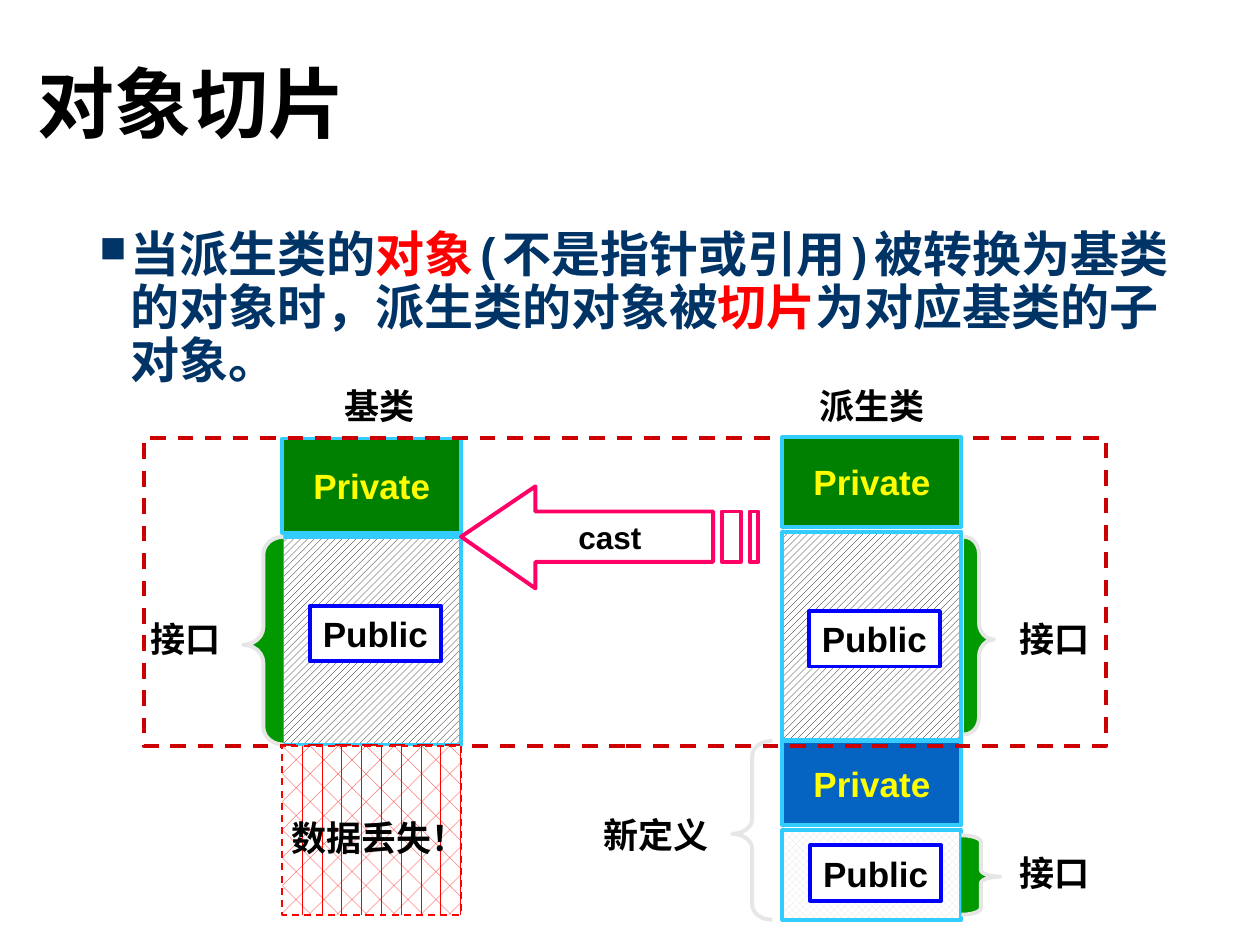
from dataclasses import dataclass

from lxml import etree
from pptx import Presentation
from pptx.dml.color import RGBColor
from pptx.enum.dml import MSO_LINE, MSO_PATTERN
from pptx.enum.shapes import MSO_SHAPE
from pptx.enum.text import MSO_ANCHOR, PP_ALIGN
from pptx.oxml.ns import qn
from pptx.slide import Slide
from pptx.util import Inches, Pt

RECT, BRACE = MSO_SHAPE.RECTANGLE, MSO_SHAPE.RIGHT_BRACE
HATCH, DIAMOND = MSO_PATTERN.WIDE_UPWARD_DIAGONAL, MSO_PATTERN.SOLID_DIAMOND
DIVOT, DASH = MSO_PATTERN.DIVOT, MSO_LINE.DASH
TOP, MIDDLE = MSO_ANCHOR.TOP, MSO_ANCHOR.MIDDLE
LEFT, CENTER = PP_ALIGN.LEFT, PP_ALIGN.CENTER

BLACK = RGBColor(0x00, 0x00, 0x00)
WHITE = RGBColor(0xFF, 0xFF, 0xFF)
NAVY = RGBColor(0x00, 0x33, 0x66)
RED = RGBColor(0xFF, 0x00, 0x00)
CRIMSON = RGBColor(0xCC, 0x00, 0x00)
PINK = RGBColor(0xFF, 0x00, 0x66)
YELLOW = RGBColor(0xFF, 0xFF, 0x00)
GREEN = RGBColor(0x00, 0x80, 0x00)
LEAF = RGBColor(0x00, 0x99, 0x00)
BLUE = RGBColor(0x00, 0x00, 0xFF)
OCEAN = RGBColor(0x05, 0x63, 0xC1)
SKY = RGBColor(0x33, 0xCC, 0xFF)
GRAY = RGBColor(0xE7, 0xE6, 0xE6)

CJK, MONO, SANS = "Noto Sans CJK SC", "Noto Sans Mono", "Arial"
COLS, ROWS = 100, 75
BASE, HEIR, WIDE = 22.4, 62.1, 14.2


def write(shape, runs, size=20, font=SANS, color=BLACK, align=CENTER,
          anchor=TOP, wrap=False, lines=None, before=None, bullet=None):
    """Fill a shape with one paragraph of (text, colour) runs."""
    frame = shape.text_frame
    frame.word_wrap, frame.vertical_anchor = wrap, anchor
    para = frame.paragraphs[0]
    para.alignment, para.line_spacing = align, lines
    if before is not None:
        para.space_before = Pt(before)
    for text, tint in [(runs, color)] if isinstance(runs, str) else runs:
        run = para.add_run()
        run.text = text
        run.font.size, run.font.bold, run.font.name = Pt(size), True, font
        run.font.color.rgb = tint
        east = etree.SubElement(run.font._element, qn("a:ea"))
        east.set("typeface", CJK)
    if bullet:
        props = para._p.get_or_add_pPr()
        props.set("marL", str(Inches(0.25)))
        props.set("indent", str(-Inches(0.25)))
        etree.SubElement(props, qn("a:buSzPct")).set("val", "75000")
        etree.SubElement(props, qn("a:buChar")).set("char", bullet)


@dataclass
class Board:
    """Draws on one slide with lengths in grid columns and rows."""
    slide: Slide
    col: int
    row: int
    weight: float = 2.25

    def place(self, x, y, w, h):
        """Turn grid units into slide lengths."""
        return [round(n * unit) for n, unit in
                zip((x, y, w, h), (self.col, self.row) * 2)]

    def style(self, shape, fill, line, weight=None, dash=None):
        """Set the fill and outline of a shape."""
        shape.shadow.inherit = False
        if fill is None:
            shape.fill.background()
        elif isinstance(fill, RGBColor):
            shape.fill.solid()
            shape.fill.fore_color.rgb = fill
        else:
            shape.fill.patterned()
            shape.fill.pattern, shape.fill.fore_color.rgb = fill
            shape.fill.back_color.rgb = WHITE
        shape.line.color.rgb = line
        shape.line.width = Pt(weight or self.weight)
        if dash:
            shape.line.dash_style = dash
        return shape

    def text(self, x, y, w, h, runs, **form):
        """Add a text box."""
        write(self.slide.shapes.add_textbox(*self.place(x, y, w, h)),
              runs, **form)

    def box(self, x, y, w, h, fill, line, text=None, color=BLACK, **look):
        """Add a rectangle with an optional caption."""
        shape = self.slide.shapes.add_shape(RECT, *self.place(x, y, w, h))
        self.style(shape, fill, line, **look)
        if text:
            write(shape, text, color=color, anchor=MIDDLE)

    def brace(self, x, y, w, h, curve, fill=LEAF, flip=False):
        """Add a curly brace."""
        shape = self.slide.shapes.add_shape(BRACE, *self.place(x, y, w, h))
        self.style(shape, fill, GRAY)
        shape.adjustments[0], shape.adjustments[1] = curve, 0.52
        if flip:
            shape._element.spPr.xfrm.set("flipH", "1")

    def arrow(self, parts, text):
        """Add an outline of several closed parts with a caption."""
        parts = [[(x * self.col, y * self.row) for x, y in part]
                 for part in parts]
        pen = self.slide.shapes.build_freeform(*parts[0][0])
        for i, part in enumerate(parts):
            if i:
                pen.move_to(*part[0])
            pen.add_line_segments(part[1:], close=True)
        shape = self.style(pen.convert_to_shape(), None, PINK)
        write(shape, text, size=18, anchor=MIDDLE)


def main():
    """Build the slide."""
    deck = Presentation()
    deck.slide_width, deck.slide_height = Inches(10), Inches(7.5)
    slide = deck.slides.add_slide(deck.slide_layouts[6])
    board = Board(slide, deck.slide_width // COLS, deck.slide_height // ROWS)

    board.text(2, 1.3, 88.2, 14.5, "对象切片", size=44, font=CJK, align=LEFT,
               anchor=MIDDLE, wrap=True, lines=0.9)
    board.text(6.9, 17.8, 89.6, 51.9, [
        ("当派生类的", NAVY), ("对象", RED),
        ("(不是指针或引用)被转换为基类的对象时，派生类的对象被", NAVY),
        ("切片", RED), ("为对应基类的子对象。", NAVY)],
        size=28, font=MONO, align=LEFT, wrap=True, lines=0.9, before=10,
        bullet="■")

    for x, y, h, fill in ((BASE, 42.6, 16.5, (HATCH, BLACK)),
                          (HEIR, 42.2, 16.5, (HATCH, BLACK)),
                          (HEIR, 65.9, 7.1, (DIAMOND, GRAY))):
        board.box(x, y, WIDE, h, fill, SKY)
    board.box(BASE, 34.8, WIDE, 7.5, GREEN, SKY, "Private", YELLOW)

    head = [(42.5, 46.7), (42.5, 44.6), (56.6, 44.6), (56.6, 40.6),
            (42.5, 40.6), (42.5, 38.6), (36.6, 42.6)]
    bars = [[(r, 44.6), (r, 40.6), (l, 40.6), (l, 44.6)]
            for l, r in ((57.3, 58.8), (59.5, 60.2))]
    board.arrow([head, *bars], "cast")

    board.brace(58.1, 58.8, 3.2, 14.2, 0.37, fill=None, flip=True)
    board.brace(19.3, 42.6, 3.2, 16.5, 0.44, flip=True)
    board.brace(76.5, 42.6, 2.4, 15.7, 0.56)
    board.brace(76.3, 66.3, 3.1, 6.3, 0.17)

    board.box(HEIR, 58.8, WIDE, 6.7, OCEAN, SKY, "Private", YELLOW)
    board.box(11.4, 34.8, 76.4, 24.4, None, CRIMSON, dash=DASH)
    board.box(BASE, 59.2, WIDE, 13.4, (DIVOT, RED), RED, weight=1, dash=DASH)
    board.box(HEIR, 34.7, WIDE, 7.1, GREEN, SKY, "Private", YELLOW)
    for x, y in ((24.6, 48.1), (64.2, 48.5), (64.3, 67.1)):
        board.box(x, y, 10.4, 4.4, WHITE, BLUE, "Public")

    for x, y, w, text in ((26.3, 30, 7.6, "基类"), (64, 30, 10.4, "派生类"),
                          (46.9, 64.1, 10.4, "新定义"),
                          (10.9, 48.5, 7.6, "接口"), (79.9, 48.5, 7.6, "接口"),
                          (79.9, 67.1, 7.6, "接口"),
                          (22.1, 64.3, 16, "数据丢失！")):
        board.text(x, y, w, 4.4, text)

    deck.save("out.pptx")


if __name__ == "__main__":
    main()
